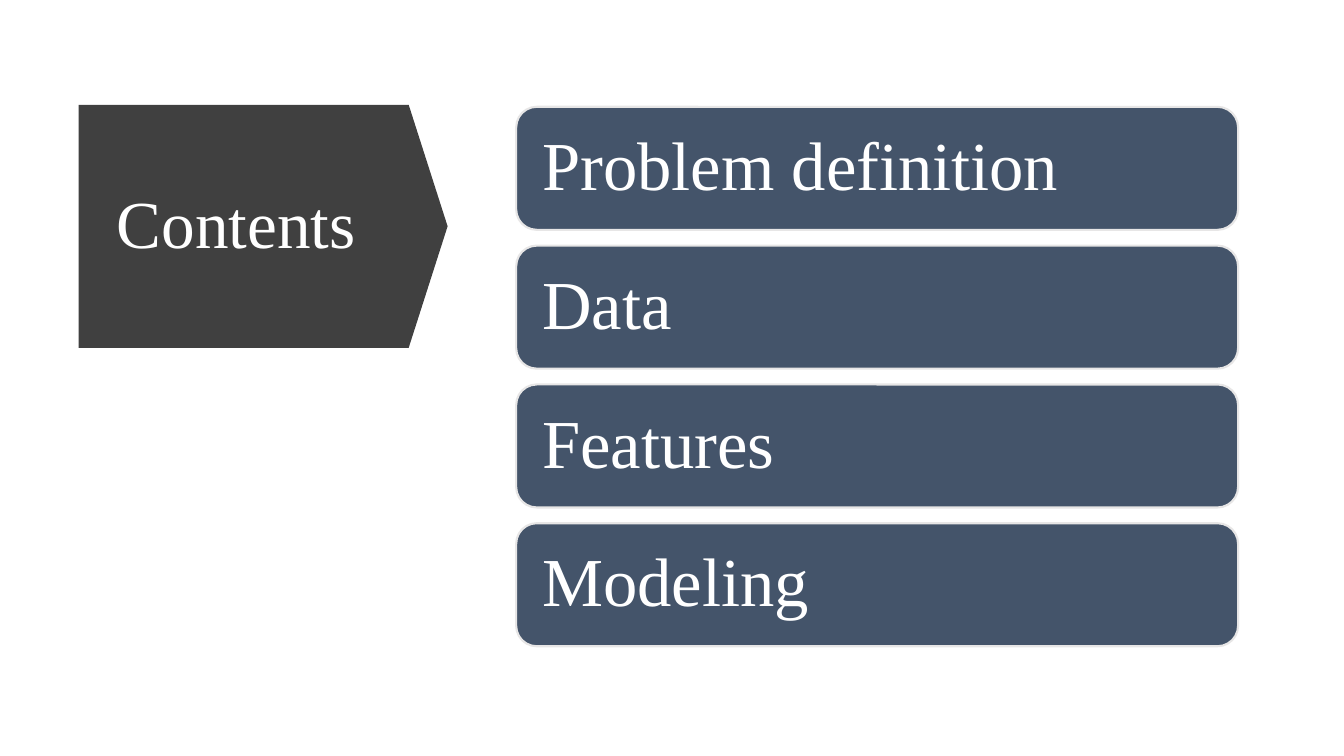
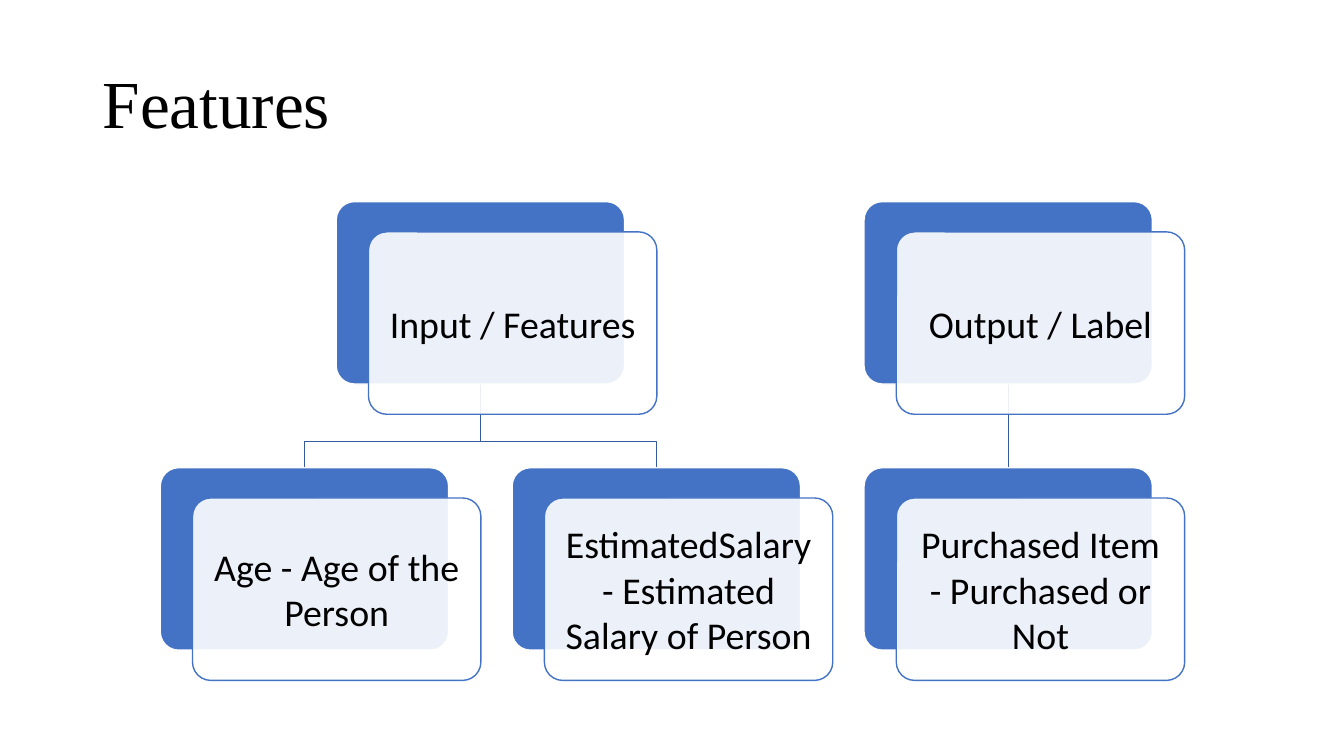
from lxml import etree
from pptx import Presentation
from pptx.dml.color import RGBColor
from pptx.enum.shapes import MSO_CONNECTOR, MSO_SHAPE
from pptx.enum.text import MSO_ANCHOR, PP_ALIGN
from pptx.oxml.ns import qn
from pptx.util import Inches, Pt

ROUNDED, PENTAGON = MSO_SHAPE.ROUNDED_RECTANGLE, MSO_SHAPE.PENTAGON
STRAIGHT = MSO_CONNECTOR.STRAIGHT
MIDDLE = MSO_ANCHOR.MIDDLE
LEFT, CENTER = PP_ALIGN.LEFT, PP_ALIGN.CENTER

WHITE = RGBColor(0xFF, 0xFF, 0xFF)
BLACK = RGBColor(0x00, 0x00, 0x00)
CHARCOAL = RGBColor(0x40, 0x40, 0x40)
SLATE = RGBColor(0x44, 0x54, 0x6A)
PALE_GRAY = RGBColor(0xE7, 0xE6, 0xE6)
BLUE = RGBColor(0x44, 0x72, 0xC4)
DARK_BLUE = RGBColor(0x36, 0x5B, 0x9D)

SERIF = "Times New Roman"
TITLE_FONT = {"name": SERIF, "size": Pt(48)}
ITEM_FONT = {"name": SERIF, "size": Pt(49)}
NODE_FONT = {"name": "Calibri", "size": Pt(27)}


def add_panel(page, kind, left, top, width, height, fill, line=None, weight=1, corner=None):
    panel = page.shapes.add_shape(kind, Inches(left), Inches(top), Inches(width), Inches(height))
    panel.shadow.inherit = False
    panel.fill.solid()
    panel.fill.fore_color.rgb = fill
    if line is None:
        panel.line.fill.background()
    else:
        panel.line.color.rgb = line
        panel.line.width = Pt(weight)
    if corner is not None:
        panel.adjustments[0] = corner
    return panel


def write_text(box, text, font, color, margin, align=LEFT, spacing=0.9):
    frame = box.text_frame
    frame.word_wrap = True
    frame.vertical_anchor = MIDDLE
    for side in ("left", "right", "top", "bottom"):
        setattr(frame, f"margin_{side}", Inches(margin))
    para = frame.paragraphs[0]
    para.alignment = align
    para.line_spacing = spacing
    span = para.add_run()
    span.text = text
    for name, value in font.items():
        setattr(span.font, name, value)
    span.font.color.rgb = color


deck = Presentation()
deck.slide_width, deck.slide_height = Inches(13.33), Inches(7.5)
blank = deck.slide_layouts[6]

# Contents: title arrow and a column of topics
page = deck.slides.add_slide(blank)
arrow = add_panel(page, PENTAGON, 0.78, 1.04, 3.66, 2.41, CHARCOAL, corner=0.16)
write_text(arrow, "Contents", TITLE_FONT, WHITE, 0.38)

for index, topic in enumerate(["Problem definition", "Data", "Features", "Modeling"]):
    bar = add_panel(page, ROUNDED, 5.12, 1.06 + 1.377 * index, 7.16, 1.22, SLATE, PALE_GRAY, 1.5)
    write_text(bar, topic, ITEM_FONT, WHITE, 0.2)

# Features: title
page = deck.slides.add_slide(blank)
title = page.shapes.add_textbox(Inches(0.92), Inches(0.33), Inches(11.5), Inches(1.45))
write_text(title, "Features", TITLE_FONT, BLACK, 0.1)

# Tree layout: columns count from the left leaf, rows from the top
NODE_WIDTH, NODE_HEIGHT = 2.86, 1.81
TREE_LEFT, COLUMN_PITCH = 1.59, 3.49
ROW_TOPS = [2.0, 4.64]
CARD_OFFSET_X, CARD_OFFSET_Y = 0.32, 0.3
BRANCH_Y = 4.38

nodes = [
    ("Input / Features", 0.5, 0),
    ("Age - Age of the Person", 0, 1),
    ("EstimatedSalary - Estimated Salary of Person", 1, 1),
    ("Output / Label", 2, 0),
    ("Purchased Item - Purchased or Not", 2, 1),
]
branches = [(2, 2), (0.5, 1), (0.5, 0)]

# Branches from parent column to child column
parent_bottom, child_top = Inches(ROW_TOPS[0] + NODE_HEIGHT), Inches(ROW_TOPS[1])
for ends in branches:
    start_x, end_x = [Inches(TREE_LEFT + COLUMN_PITCH * column + NODE_WIDTH / 2) for column in ends]
    if start_x == end_x:
        branch = page.shapes.add_connector(STRAIGHT, start_x, parent_bottom, end_x, child_top)
        etree.SubElement(branch.line._get_or_add_ln().getparent(), qn("a:effectLst"))
    else:
        outline = page.shapes.build_freeform(start_x, parent_bottom)
        bend = Inches(BRANCH_Y)
        outline.add_line_segments([(start_x, bend), (end_x, bend), (end_x, child_top)], close=False)
        branch = outline.convert_to_shape()
        branch.fill.background()
        branch.shadow.inherit = False
    branch.line.color.rgb = DARK_BLUE
    branch.line.width = Pt(1)

# Nodes: a blue block with a translucent card over it
for text, column, row in nodes:
    left, top = TREE_LEFT + COLUMN_PITCH * column, ROW_TOPS[row]
    add_panel(page, ROUNDED, left, top, NODE_WIDTH, NODE_HEIGHT, BLUE, WHITE, corner=0.1)
    card = add_panel(page, ROUNDED, left + CARD_OFFSET_X, top + CARD_OFFSET_Y,
                     NODE_WIDTH, NODE_HEIGHT, WHITE, BLUE, corner=0.1)
    white_fill = card.element.spPr.find(qn("a:solidFill")).find(qn("a:srgbClr"))
    etree.SubElement(white_fill, qn("a:alpha"), val="90000")
    write_text(card, text, NODE_FONT, BLACK, 0.11, CENTER, 1.0)

deck.save("out.pptx")
